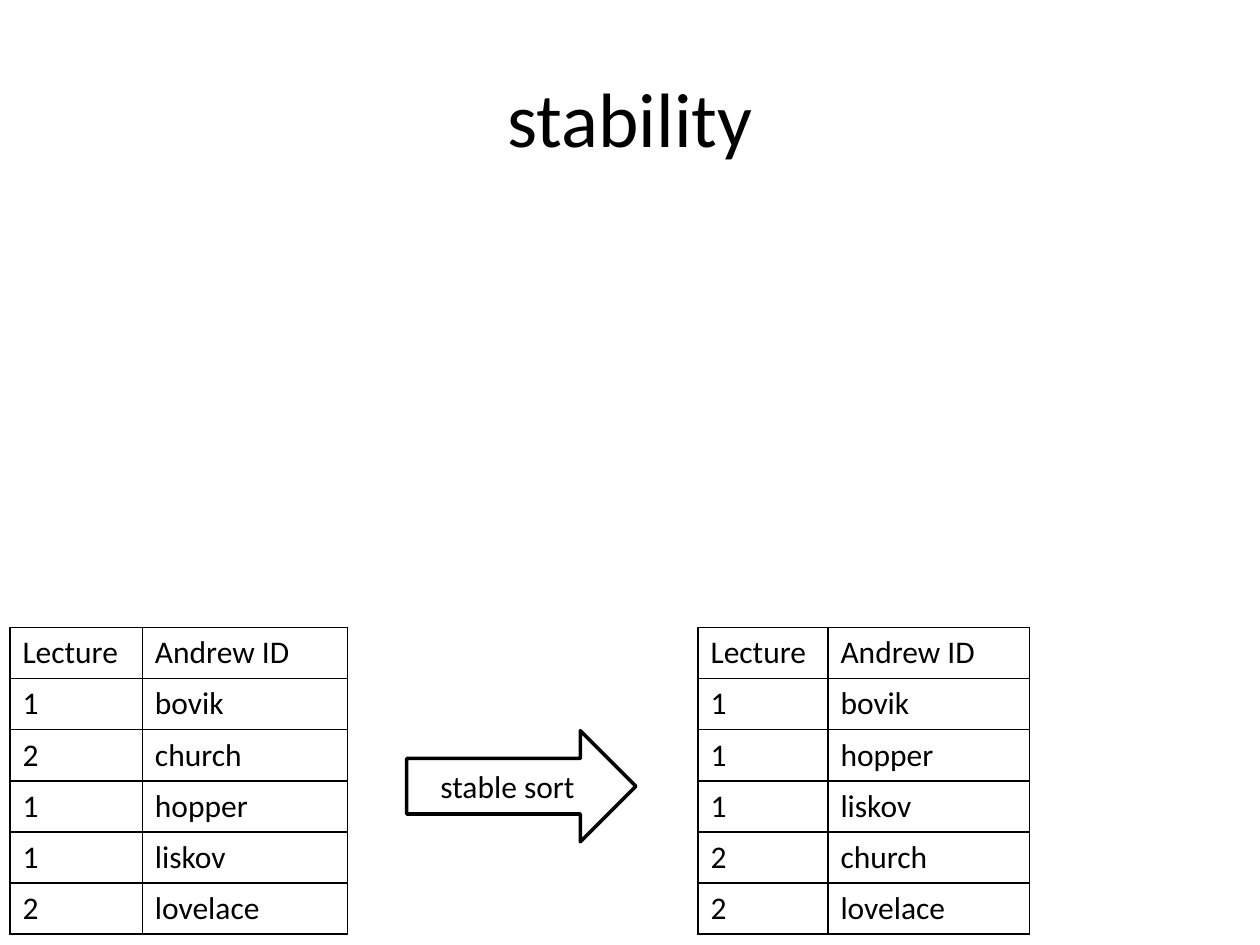
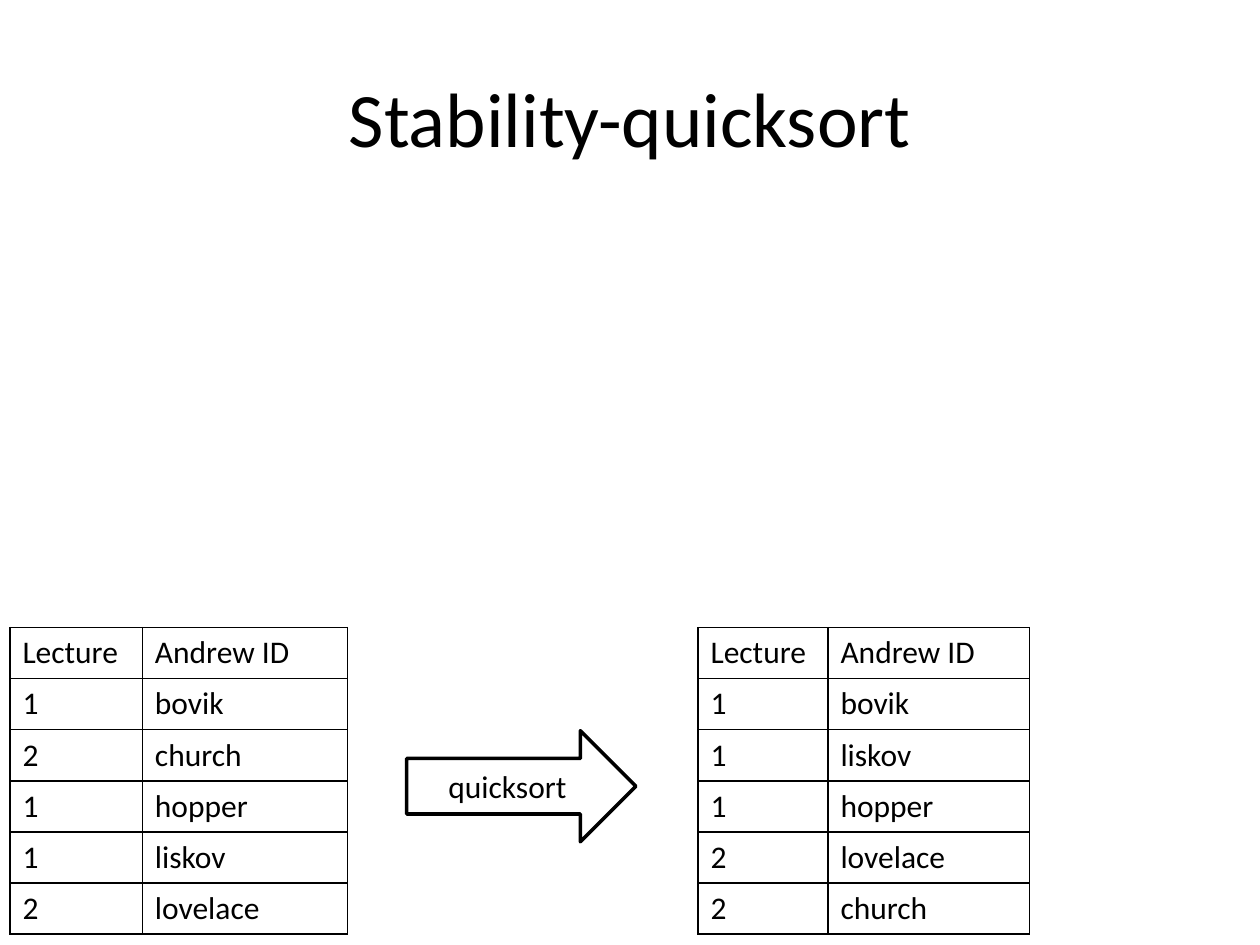
from pptx import Presentation
from pptx.dml.color import RGBColor
from pptx.enum.shapes import MSO_SHAPE as Preset
from pptx.enum.text import MSO_ANCHOR as Anchor, PP_ALIGN as Align
from pptx.oxml import parse_xml
from pptx.oxml.ns import nsdecls
from pptx.util import Cm, Pt

COLOURS = {"ink": "000000", "paper": "FFFFFF"}
HEADINGS = ("Lecture", "Andrew ID")
ENROLLED = [("1", "bovik"), ("2", "church"), ("1", "hopper"), ("1", "liskov"), ("2", "lovelace")]
STABLE = sorted(ENROLLED, key=lambda student: student[0])
QUICKSORTED = [("1", "bovik"), ("1", "liskov"), ("1", "hopper"), ("2", "lovelace"), ("2", "church")]


class SortDeck:
    """Builds slides that show a class roster before and after sorting."""

    font_name = "Calibri"
    body_size = 18
    title_size = 44
    row_height = 1.03
    roster_top = 12.65

    def __init__(self):
        self.deck = Presentation()
        self.deck.slide_width = Cm(25.4)
        self.deck.slide_height = Cm(19.05)
        self.slide = None

    def colour(self, name):
        return RGBColor.from_string(COLOURS[name])

    def set_text(self, frame, text, size, align):
        frame.text = text
        paragraph = frame.paragraphs[0]
        paragraph.alignment = align
        paragraph.font.name = self.font_name
        paragraph.font.size = Pt(size)
        paragraph.font.color.rgb = self.colour("ink")

    def start(self, heading):
        self.slide = self.deck.slides.add_slide(self.deck.slide_layouts[5])
        title = self.slide.shapes.title
        title.left, title.top, title.width, title.height = Cm(1.27), Cm(0.76), Cm(22.86), Cm(3.18)
        title.text_frame.vertical_anchor = Anchor.MIDDLE
        self.set_text(title.text_frame, heading, self.title_size, Align.CENTER)

    def outline(self, cell):
        properties = cell._tc.get_or_add_tcPr()
        for side in "LRTB":
            properties.append(parse_xml(
                f'<a:ln{side} {nsdecls("a")} w="{Pt(1)}"><a:solidFill>'
                f'<a:srgbClr val="{COLOURS["ink"]}"/></a:solidFill></a:ln{side}>'))

    def roster(self, left, widths, students):
        rows = [HEADINGS, *students]
        table = self.slide.shapes.add_table(
            len(rows), len(widths), Cm(left), Cm(self.roster_top),
            Cm(sum(widths)), Cm(self.row_height * len(rows))).table
        table.first_row = table.horz_banding = False
        for column, width in zip(table.columns, widths):
            column.width = Cm(width)
        for row, values in zip(table.rows, rows):
            row.height = Cm(self.row_height)
            for cell, value in zip(row.cells, values):
                self.outline(cell)
                cell.fill.background()
                self.set_text(cell.text_frame, value, self.body_size, Align.LEFT)

    def arrow(self, label):
        arrow = self.slide.shapes.add_shape(
            Preset.RIGHT_ARROW, Cm(8.2), Cm(14.73), Cm(4.62), Cm(2.24))
        arrow.shadow.inherit = False
        arrow.fill.solid()
        arrow.fill.fore_color.rgb = self.colour("paper")
        arrow.line.color.rgb = self.colour("ink")
        arrow.line.width = Pt(2)
        arrow.text_frame.vertical_anchor = Anchor.MIDDLE
        self.set_text(arrow.text_frame, label, self.body_size, Align.CENTER)

    def comparison(self, heading, method, result):
        self.start(heading)
        self.roster(0.2, (2.67, 4.14), ENROLLED)
        self.roster(14.07, (2.62, 4.06), result)
        self.arrow(method)


def main():
    lesson = SortDeck()
    lesson.comparison("stability", "stable sort", STABLE)
    lesson.comparison("Stability-quicksort", "quicksort", QUICKSORTED)
    lesson.deck.save("out.pptx")


if __name__ == "__main__":
    main()
